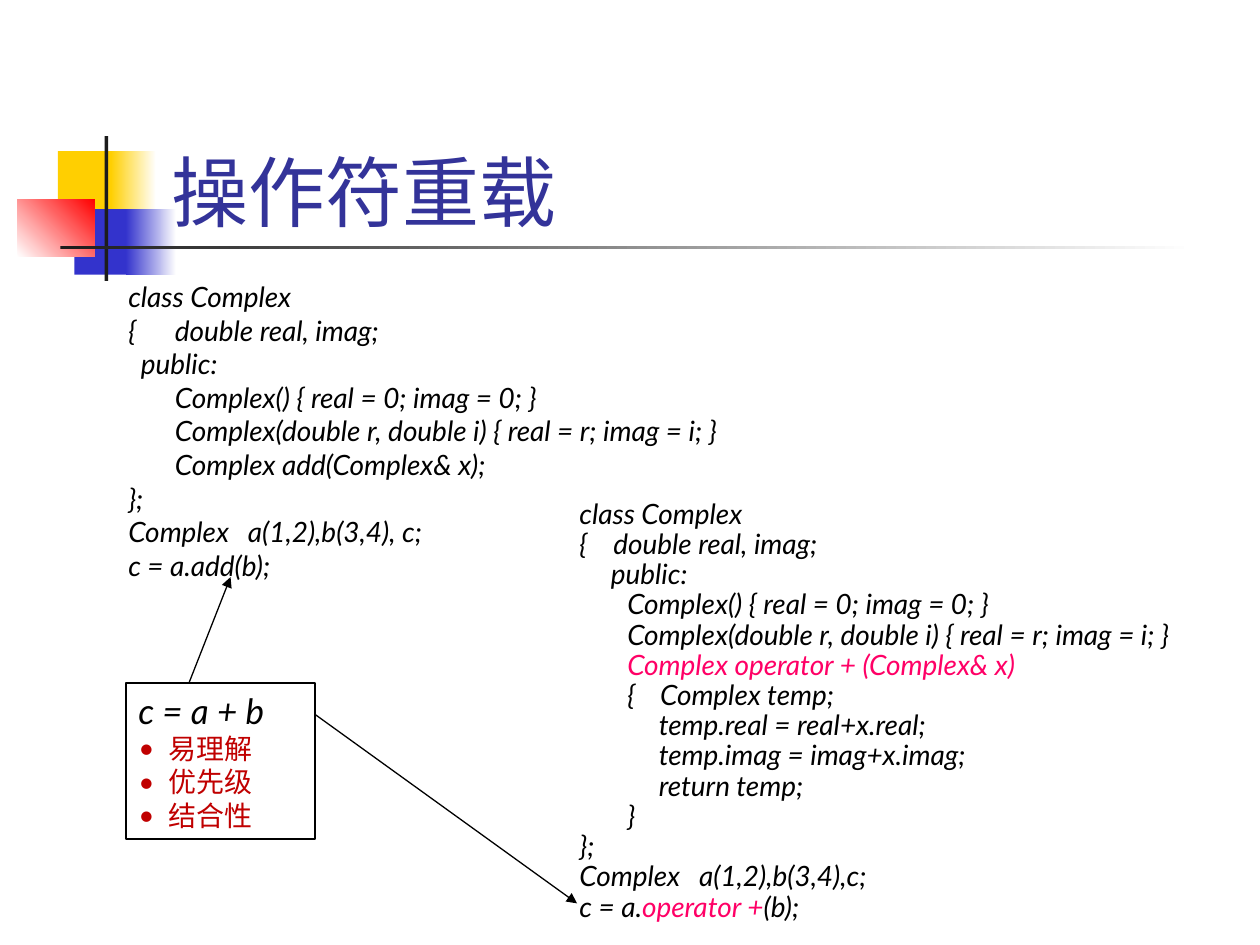
import pptx
import pptx.util
import pptx.dml.color
import pptx.enum.shapes
import pptx.enum.text
import pptx.oxml.ns
import lxml.etree

RGB = pptx.dml.color.RGBColor
BLACK, WHITE = RGB(0, 0, 0), RGB(255, 255, 255)
YELLOW, BLUE, RED = RGB(0xFF, 0xCF, 0x01), RGB(0x33, 0x33, 0xCC), RGB(255, 0, 0)
CHARCOAL, NAVY = RGB(0x1C, 0x1C, 0x1C), RGB(0x33, 0x33, 0x99)
PINK, CRIMSON = RGB(0xFF, 0, 0x66), RGB(0xC0, 0, 0)
CODE = {"size": pptx.util.Pt(16), "name": "Lato", "italic": True}
qn = pptx.oxml.ns.qn
inches = pptx.util.Inches


def add_span(para, text, color, style):
    """Add one run with the given colour and font values."""
    span = para.add_run()
    span.text = text
    for key, value in style.items():
        setattr(span.font, key, value)
    span.font.color.rgb = color
    lxml.etree.SubElement(span.font._element, qn("a:ea")).set("typeface", "Lato")


def set_indent(para, margin, hang=0):
    """Set the left margin and the hanging first line, in inches."""
    properties = para._p.get_or_add_pPr()
    properties.set("marL", str(inches(margin)))
    properties.set("indent", str(-inches(hang)))
    return properties


deck = pptx.Presentation()
deck.slide_width, deck.slide_height = inches(10), inches(7.5)
page = deck.slides.add_slide(deck.slide_layouts[5])
shapes = page.shapes
rectangle = pptx.enum.shapes.MSO_SHAPE.RECTANGLE

# Decoration: left, top, width, height, colours, gradient angle
decoration = [
    (0.46, 1.2, 0.48, 0.52, [YELLOW], 0),
    (0.88, 1.2, 0.36, 0.52, [YELLOW, WHITE], 0),
    (0.59, 1.66, 0.46, 0.52, [BLUE], 0),
    (1, 1.66, 0.4, 0.52, [BLUE, WHITE], 0),
    (0.14, 1.58, 0.61, 0.46, [WHITE, RED], 45),
    (0.83, 1.08, 0.03, 1.15, [CHARCOAL], 0),
    (0.48, 1.95, 9, 0.03, [CHARCOAL, WHITE], 0),
]
for *place, colors, angle in decoration:
    block = shapes.add_shape(rectangle, *map(inches, place))
    block.shadow.inherit = False
    block.line.fill.background()
    if len(colors) == 1:
        block.fill.solid()
        block.fill.fore_color.rgb = colors[0]
    else:
        block.fill.gradient()
        block.fill.gradient_angle = angle
        for stop, color in zip(block.fill.gradient_stops, colors):
            stop.color.rgb = color

title = shapes.title
title.left, title.top, title.width, title.height = map(inches, (1.26, 0.68, 8.52, 1.25))
title.text_frame.vertical_anchor = pptx.enum.text.MSO_ANCHOR.BOTTOM
heading = title.text_frame.paragraphs[0]
heading.alignment = pptx.enum.text.PP_ALIGN.LEFT
add_span(heading, "操作符重载", NAVY, {"size": pptx.util.Pt(44), "name": "Lato"})

# Code lines: margin, hanging indent, spans
add_code = [
    (0, 0, ["class Complex"]),
    (0.37, 0.37, ["{\tdouble real, imag;"]),
    (0.1, 0, ["public:"]),
    (0.37, 0, ["Complex() { real = 0; imag = 0; }"]),
    (0.37, 0, ["Complex(double r, double i) { real = r; imag = i; }"]),
    (0.37, 0, ["Complex add(Complex& x);"]),
    (0, 0, ["};"]),
    (0.95, 0.95, ["Complex\ta(1,2),b(3,4), c;"]),
    (0, 0, ["c = a.add(b);"]),
]
operator_code = [
    (0, 0, ["class Complex"]),
    (0.27, 0.27, ["{\tdouble real, imag;"]),
    (0.25, 0, ["public:"]),
    (0.38, 0, ["Complex() { real = 0; imag = 0; }"]),
    (0.38, 0, ["Complex(double r, double i) { real = r; imag = i; }"]),
    (0.38, 0, [("Complex operator + (Complex& x)", PINK)]),
    (0.64, 0.26, ["{\tComplex temp;"]),
    (0.63, 0, ["temp.real = real+x.real;"]),
    (0.63, 0, ["temp.imag = imag+x.imag;"]),
    (0.63, 0, ["return temp;"]),
    (0.38, 0, ["}"]),
    (0, 0, ["};"]),
    (0.95, 0.95, ["Complex\ta(1,2),b(3,4),c;"]),
    (0, 0, ["c = a.", ("operator +", PINK), "(b);"]),
]
for place, spacing, lines in [
    ((0.92, 2.17, 5.67, 2.51), 1.0, add_code),
    ((4.5, 3.92, 5.58, 3.58), 0.9, operator_code),
]:
    frame = shapes.add_textbox(*map(inches, place)).text_frame
    frame.word_wrap = True
    for index, (margin, hang, spans) in enumerate(lines):
        para = frame.add_paragraph() if index else frame.paragraphs[0]
        para.line_spacing = spacing
        set_indent(para, margin, hang)
        for span in spans:
            text, color = (span, BLACK) if isinstance(span, str) else span
            add_span(para, text, color, CODE)

# Framed note with its bullets
note = shapes.add_shape(rectangle, *map(inches, (1, 5.42, 1.5, 1.24)))
note.shadow.inherit = False
note.fill.background()
note.line.color.rgb = BLACK
note.line.width = pptx.util.Pt(0.75)
frame = note.text_frame
frame.vertical_anchor = pptx.enum.text.MSO_ANCHOR.TOP
frame.paragraphs[0].alignment = pptx.enum.text.PP_ALIGN.LEFT
add_span(frame.paragraphs[0], "c = a + b", BLACK, {**CODE, "size": pptx.util.Pt(20)})
for text in ["易理解", "优先级", "结合性"]:
    para = frame.add_paragraph()
    para.alignment = pptx.enum.text.PP_ALIGN.LEFT
    properties = set_indent(para, 0.24, 0.24)
    lxml.etree.SubElement(properties, qn("a:buFont")).set("typeface", "Lato")
    lxml.etree.SubElement(properties, qn("a:buChar")).set("char", "•")
    add_span(para, text, CRIMSON, {**CODE, "name": "Noto Sans CJK SC", "italic": False})

for ends in [(1.5, 5.42, 1.83, 4.58), (2.5, 5.67, 4.58, 7.17)]:
    arrow = shapes.add_connector(
        pptx.enum.shapes.MSO_CONNECTOR.STRAIGHT, *map(inches, ends))
    arrow.line.color.rgb = BLACK
    arrow.line.width = pptx.util.Pt(0.75)
    lxml.etree.SubElement(arrow.line._get_or_add_ln(), qn("a:tailEnd")).set("type", "triangle")
    lxml.etree.SubElement(arrow._element.spPr, qn("a:effectLst"))

deck.save("out.pptx")
